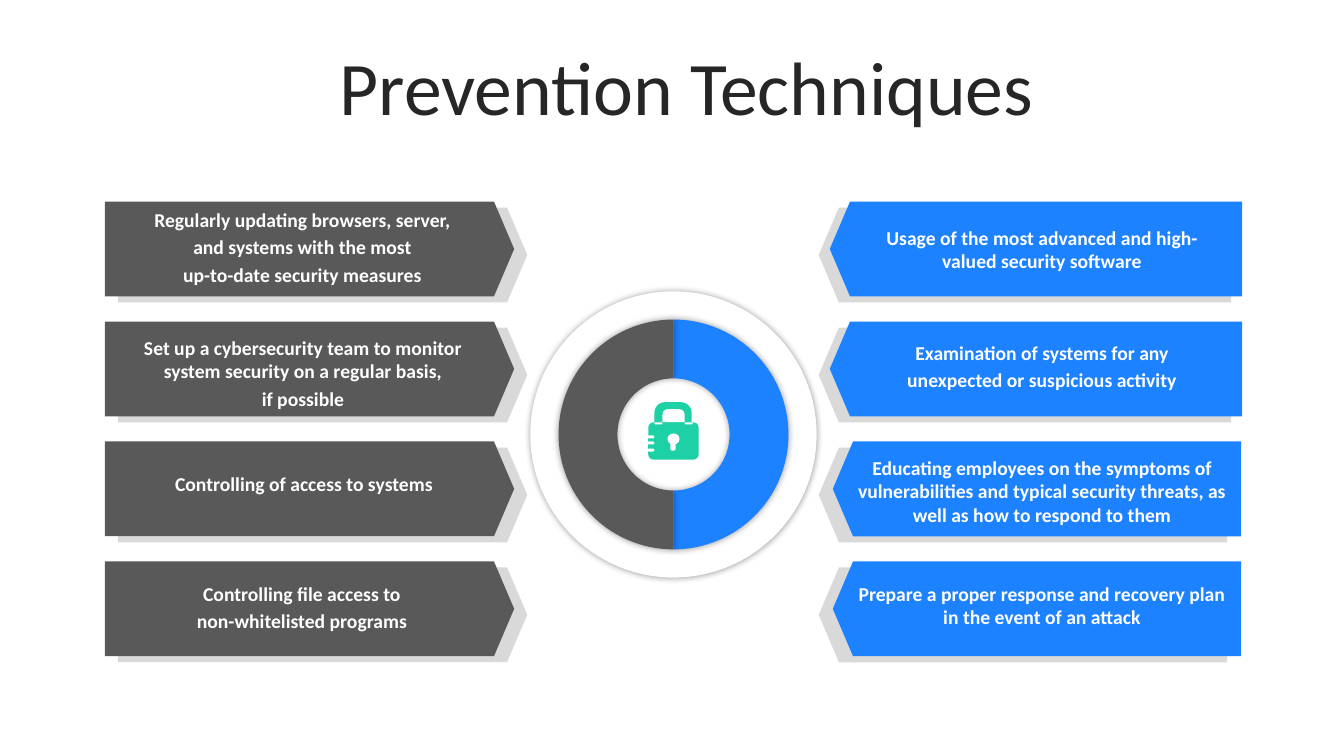
"""Build the Prevention Techniques slide."""
import pptx
import pptx.util
import pptx.dml.color
import pptx.enum.shapes
import pptx.enum.text
import lxml.etree

Inches = pptx.util.Inches
Pt = pptx.util.Pt
KIND = pptx.enum.shapes.MSO_SHAPE
ALIGN = pptx.enum.text.PP_ALIGN
ANCHOR = pptx.enum.text.MSO_ANCHOR

TITLE = "Prevention Techniques"
FONT = "Calibri"
WHITE, INK, GRAY, BLUE, PALE, GREEN = "FFFFFF", "262626", "595959", "1C82FF", "D9D9D9", "1ED0A6"
ROW_TOP, ROW_STEP, PLATE_HEIGHT, SHADE_DROP = 2.0, 1.19, 0.94, 0.06
CENTER_X, CENTER_Y = 6.68, 4.31

LEFT_PLATE = {"color": GRAY, "left": 1.04, "shade_left": 1.17, "width": 4.06, "shade_width": 4.06, "turn": 0}
RIGHT_WIDE = {"color": BLUE, "left": 8.23, "shade_left": 8.12, "width": 4.09, "shade_width": 4.09, "turn": 180}
RIGHT_SLIM = {"color": BLUE, "left": 8.26, "shade_left": 8.12, "width": 4.05, "shade_width": 4.05, "turn": 180}

TECHNIQUES = [
    (0, LEFT_PLATE, (0.93, 2.01, 4.14, 0.81),
     ["Regularly updating browsers, server,", "and systems with the most", "up-to-date security measures"]),
    (1, LEFT_PLATE, (1.05, 3.28, 3.91, 0.28),
     ["Set up a cybersecurity team to monitor system security on a regular basis,", "if possible"]),
    (2, LEFT_PLATE, (1.34, 4.63, 3.35, 0.28), ["Controlling of access to systems"]),
    (3, LEFT_PLATE, (1.32, 5.72, 3.35, 0.28), ["Controlling file access to", "non-whitelisted programs"]),
    (0, RIGHT_WIDE, (8.66, 2.19, 3.35, 0.28),
     ["Usage of the most advanced and high-valued security software"]),
    (1, RIGHT_WIDE, (8.66, 3.33, 3.35, 0.28),
     ["Examination of systems for any", "unexpected or suspicious activity"]),
    (2, RIGHT_SLIM, (8.29, 4.47, 4.09, 0.31),
     ["Educating employees on the symptoms of vulnerabilities and typical security threats, "
      "as well as how to respond to them"]),
    (3, RIGHT_SLIM, (8.4, 5.72, 3.87, 0.35),
     ["Prepare a proper response and recovery plan in the event of an attack"]),
]

RING_HALVES = [(BLUE, 162, 54), (GRAY, 54, 162)]

LOCK_PARTS = [
    (KIND.ROUND_2_SAME_RECTANGLE, (6.49, 3.99, 0.37, 0.21), GREEN, [0.5, 0]),
    (KIND.ROUND_2_SAME_RECTANGLE, (6.57, 4.06, 0.22, 0.13), WHITE, [0.4, 0]),
    (KIND.ROUNDED_RECTANGLE, (6.43, 4.19, 0.5, 0.37), GREEN, [0.14]),
    (KIND.OVAL, (6.62, 4.3, 0.12, 0.11), WHITE, []),
    (KIND.ROUNDED_RECTANGLE, (6.65, 4.38, 0.05, 0.09), WHITE, [0.3]),
]
LOCK_PARTS += [(KIND.ROUNDED_RECTANGLE, (left, 4.19, 0.08, 0.02), WHITE, [0.5]) for left in (6.49, 6.79)]
LOCK_PARTS += [(KIND.ROUNDED_RECTANGLE, (6.42, top, 0.07, 0.03), WHITE, [0.5]) for top in (4.32, 4.38, 4.45)]


def color_of(value):
    return pptx.dml.color.RGBColor.from_string(value)


def add_part(shapes, kind, place, color, adjustments=(), turn=0):
    part = shapes.add_shape(kind, *map(Inches, place))
    part.shadow.inherit = False
    part.fill.solid()
    part.fill.fore_color.rgb = color_of(color)
    part.line.fill.background()
    part.rotation = turn
    for index, value in enumerate(adjustments):
        part.adjustments[index] = value
    return part


def add_glow(part):
    effects = part.element.spPr.find(pptx.oxml.ns.qn("a:effectLst"))
    shade = lxml.etree.SubElement(effects, pptx.oxml.ns.qn("a:outerShdw"),
                                  blurRad=str(Pt(5)), dist="0", dir="0", algn="ctr", rotWithShape="0")
    tint = lxml.etree.SubElement(shade, pptx.oxml.ns.qn("a:srgbClr"), val="000000")
    lxml.etree.SubElement(tint, pptx.oxml.ns.qn("a:alpha"), val="40000")


def write(para, text, size, color, bold=False):
    para.alignment = ALIGN.CENTER
    span = para.add_run()
    span.text = text
    span.font.name = FONT
    span.font.size = Pt(size)
    span.font.bold = bold
    span.font.color.rgb = color_of(color)


def centered(size):
    return CENTER_X - size / 2, CENTER_Y - size / 2, size, size


def add_title(page):
    title = page.shapes.title
    title.left, title.top, title.width, title.height = map(Inches, (0.48, 0.49, 12.66, 0.82))
    frame = title.text_frame
    frame.auto_size = pptx.enum.text.MSO_AUTO_SIZE.NONE
    frame.vertical_anchor = ANCHOR.MIDDLE
    frame.paragraphs[0].line_spacing = 0.9
    write(frame.paragraphs[0], TITLE, 54, INK)


def add_ring(page):
    add_glow(add_part(page.shapes, KIND.OVAL, centered(2.84), WHITE))
    for color, start, end in RING_HALVES:
        add_glow(add_part(page.shapes, KIND.BLOCK_ARC, centered(2.28), color, (start, end, 0.256)))


def add_plate(page, row, plate):
    group = page.shapes.add_group_shape()
    top = ROW_TOP + row * ROW_STEP
    layers = [
        (plate["shade_left"], top + SHADE_DROP, plate["shade_width"], PALE),
        (plate["left"], top, plate["width"], plate["color"]),
    ]
    for left, layer_top, width, color in layers:
        add_part(group.shapes, KIND.PENTAGON, (left, layer_top, width, PLATE_HEIGHT), color,
                 [0.213], plate["turn"])


def add_label(page, place, lines):
    box = page.shapes.add_textbox(*map(Inches, place))
    box.text_frame.word_wrap = True
    for index, line in enumerate(lines):
        para = box.text_frame.add_paragraph() if index else box.text_frame.paragraphs[0]
        para.space_before = Pt(2.8 if index else 0)
        write(para, line, 14, WHITE, bold=True)


def main():
    deck = pptx.Presentation()
    deck.slide_width, deck.slide_height = Inches(13.33), Inches(7.5)
    page = deck.slides.add_slide(deck.slide_layouts[5])
    add_title(page)
    add_ring(page)
    for row, plate, place, lines in TECHNIQUES:
        add_plate(page, row, plate)
        add_label(page, place, lines)
    for kind, place, color, adjustments in LOCK_PARTS:
        add_part(page.shapes, kind, place, color, adjustments)
    deck.save("out.pptx")


if __name__ == "__main__":
    main()
